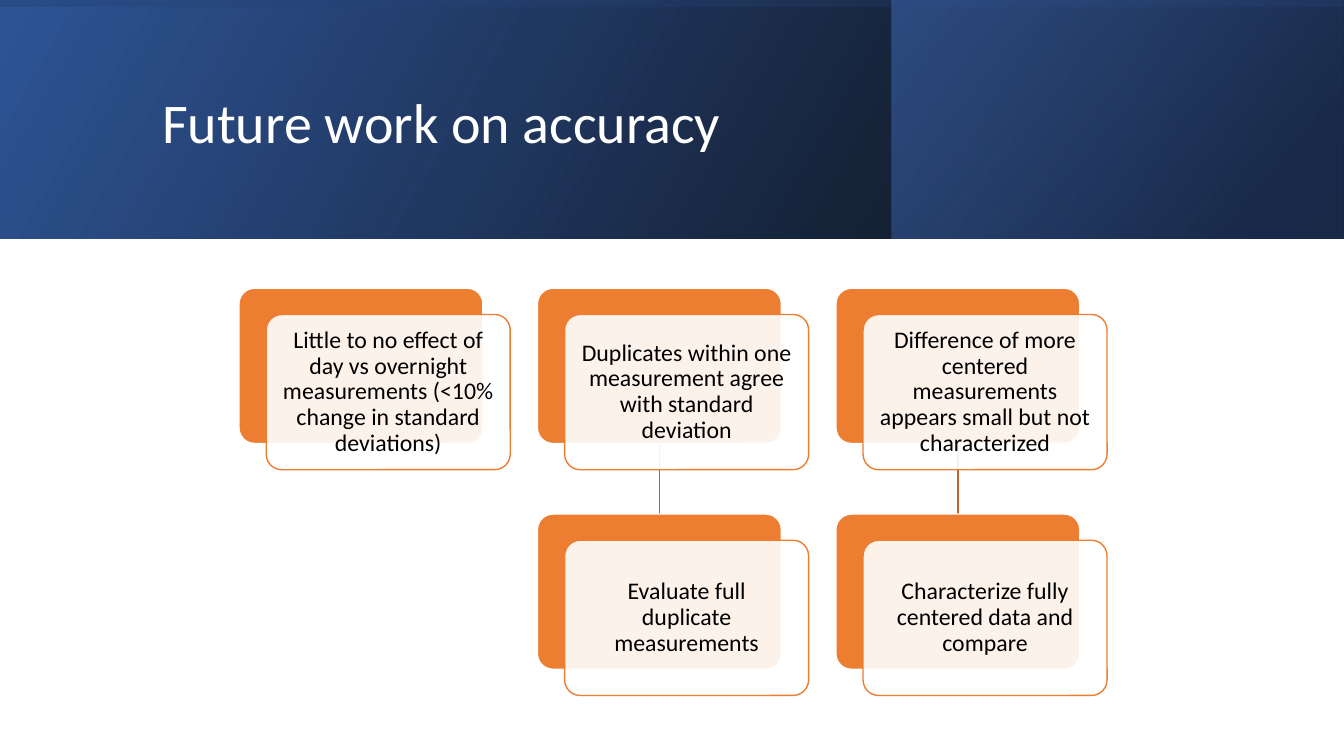
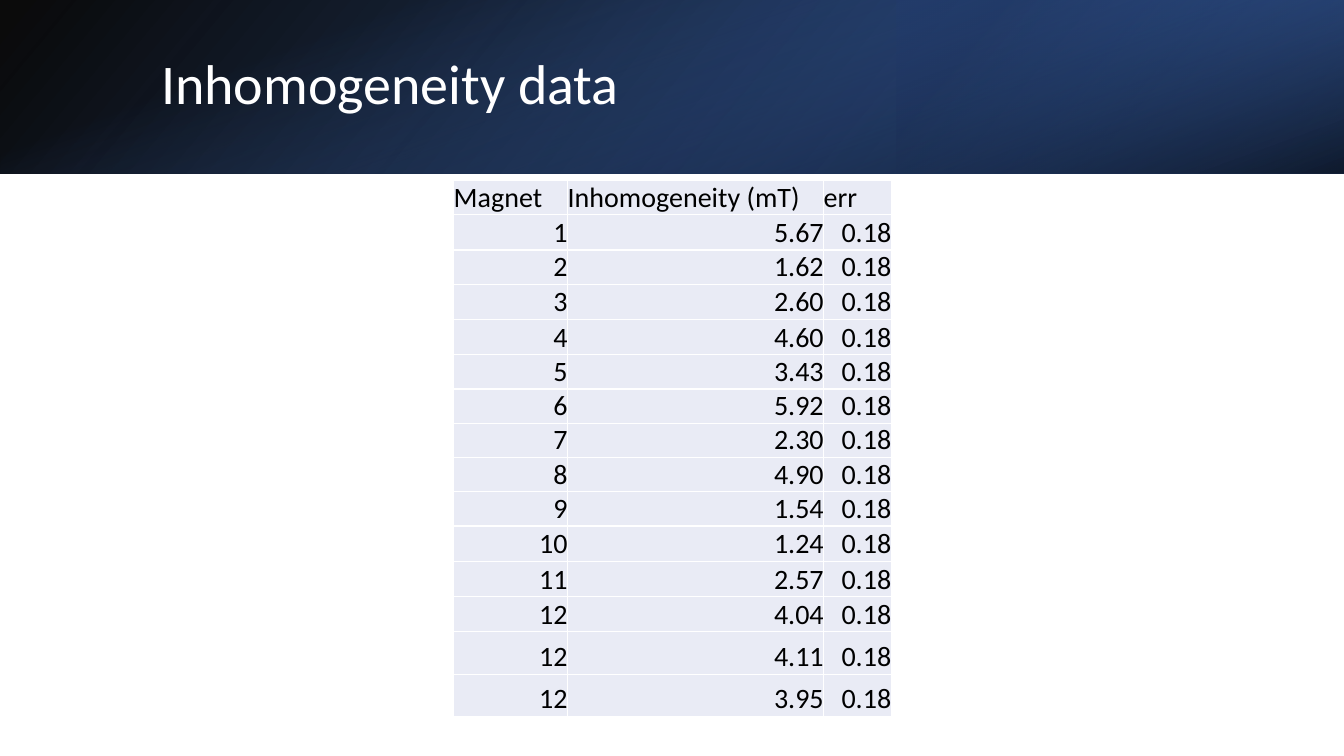
import pptx
import pptx.dml.color
import pptx.enum.dml
import pptx.enum.shapes
import pptx.enum.text
import pptx.oxml
import pptx.oxml.ns
import pptx.util

Inches = pptx.util.Inches
Pt = pptx.util.Pt
RGBColor = pptx.dml.color.RGBColor
qn = pptx.oxml.ns.qn
SHAPE = pptx.enum.shapes.MSO_SHAPE
ANCHOR = pptx.enum.text.MSO_ANCHOR
ALIGN = pptx.enum.text.PP_ALIGN

FONT = "Calibri"
WHITE = RGBColor(0xFF, 0xFF, 0xFF)
BLACK = RGBColor(0x00, 0x00, 0x00)
ORANGE = RGBColor(0xED, 0x7D, 0x31)
DARK_ORANGE = RGBColor(0xBE, 0x64, 0x27)
BLUE = RGBColor(0x44, 0x72, 0xC4)
MID_BLUE = RGBColor(0x2F, 0x55, 0x97)
NAVY = RGBColor(0x20, 0x38, 0x64)
PALE_BLUE = RGBColor(0xE9, 0xEB, 0xF5)

SLIDE_WIDTH, SLIDE_HEIGHT = 13.33, 7.5

CARD_WIDTH, CARD_HEIGHT = 2.42, 1.54
CARD_STEP_X, CARD_STEP_Y = 2.96, 2.24
CARD_OFFSET_X, CARD_OFFSET_Y = 0.27, 0.26

# Each column runs from a finding to an optional next step.
WORK_COLUMNS = [
    ["Little to no effect of day vs overnight measurements "
     "(<10% change in standard deviations)"],
    ["Duplicates within one measurement agree with standard deviation",
     "Evaluate full duplicate measurements"],
    ["Difference of more centered measurements appears small but not characterized",
     "Characterize fully centered data and compare"],
]

HEADINGS = ["Magnet", "Inhomogeneity (mT)", "err"]
ERROR = "0.18"
MEASUREMENTS = [
    ("1", "5.67"), ("2", "1.62"), ("3", "2.60"), ("4", "4.60"), ("5", "3.43"),
    ("6", "5.92"), ("7", "2.30"), ("8", "4.90"), ("9", "1.54"), ("10", "1.24"),
    ("11", "2.57"), ("12", "4.04"), ("12", "4.11"), ("12", "3.95"),
]
COLUMN_WIDTHS = [1.13, 2.54, 0.67]
ROW_HEIGHTS = [0.34, 0.35, 0.34, 0.35, 0.35] + [0.34] * 5 + [0.35] * 3 + [0.42] * 2


def set_alpha(color_element, percent):
    alpha = pptx.oxml.parse_xml(
        f'<a:alpha {pptx.oxml.ns.nsdecls("a")} val="{percent * 1000}"/>')
    color_element.append(alpha)


def format_paragraph(paragraph, size, color, alignment=ALIGN.LEFT, spacing=None):
    paragraph.alignment = alignment
    if spacing:
        paragraph.line_spacing = spacing
    for run in paragraph.runs:
        run.font.name = FONT
        run.font.size = Pt(size)
        run.font.color.rgb = color


def add_gradient(slide, box, stops, angle, rotation=0, flipped=True):
    """Add a rectangle; stops are (position, colour, opacity), angle is clockwise."""
    shape = slide.shapes.add_shape(SHAPE.RECTANGLE, *map(Inches, box))
    shape.shadow.inherit = False
    shape.rotation = rotation
    properties = shape.element.spPr
    if flipped:
        properties.find(qn("a:xfrm")).set("flipH", "1")
    shape.fill.gradient()
    shape.fill.gradient_angle = 360 - angle
    for gradient_stop, (position, color, _) in zip(shape.fill.gradient_stops, stops):
        gradient_stop.position = position / 100
        gradient_stop.color.rgb = color
    for color_element, (_, _, opacity) in zip(properties.iter(qn("a:srgbClr")), stops):
        if opacity < 100:
            set_alpha(color_element, opacity)
    shape.line.fill.background()


def add_header(slide, height, base_angle, corner, overlay):
    """Layer the base band, a corner panel and a rotated full-width overlay."""
    add_gradient(slide, (0, 0, SLIDE_WIDTH, height),
                 [(0, BLACK, 96), (100, MID_BLUE, 100)], base_angle)
    add_gradient(slide, **corner)
    inset = (SLIDE_WIDTH - height) / 2
    add_gradient(slide, (inset, -inset, height, SLIDE_WIDTH), **overlay)


def add_title(slide, box, text):
    frame = slide.shapes.add_textbox(*map(Inches, box)).text_frame
    frame.word_wrap = True
    frame.vertical_anchor = ANCHOR.MIDDLE
    frame.text = text
    format_paragraph(frame.paragraphs[0], 40, WHITE, spacing=0.9)


def add_rounded_box(slide, left, top, fill, outline):
    shape = slide.shapes.add_shape(
        SHAPE.ROUNDED_RECTANGLE, *map(Inches, (left, top, CARD_WIDTH, CARD_HEIGHT)))
    shape.shadow.inherit = False
    shape.adjustments[0] = 0.1
    shape.fill.solid()
    shape.fill.fore_color.rgb = fill
    shape.line.color.rgb = outline
    shape.line.width = Pt(1)
    return shape


def add_card(slide, left, top, text):
    """Add an orange box with a translucent text box offset over it."""
    add_rounded_box(slide, left, top, ORANGE, WHITE)
    front = add_rounded_box(slide, left + CARD_OFFSET_X, top + CARD_OFFSET_Y,
                            WHITE, ORANGE)
    set_alpha(front.element.spPr.find(qn("a:solidFill"))[0], 90)
    frame = front.text_frame
    frame.word_wrap = True
    frame.vertical_anchor = ANCHOR.MIDDLE
    frame.margin_left = frame.margin_right = Inches(0.12)
    frame.margin_top = frame.margin_bottom = Inches(0.12)
    frame.text = text
    format_paragraph(frame.paragraphs[0], 17, BLACK, ALIGN.CENTER, 0.9)


def add_link(slide, x, top, bottom):
    connector = slide.shapes.add_connector(
        pptx.enum.shapes.MSO_CONNECTOR.STRAIGHT, *map(Inches, (x, top, x, bottom)))
    connector.line.color.rgb = DARK_ORANGE
    connector.line.width = Pt(1)
    connector.element.spPr.append(
        pptx.oxml.parse_xml(f'<a:effectLst {pptx.oxml.ns.nsdecls("a")}/>'))


def add_work_diagram(slide, left, top):
    for column, texts in enumerate(WORK_COLUMNS):
        x = left + column * CARD_STEP_X
        if len(texts) > 1:
            add_link(slide, x + CARD_WIDTH / 2, top + CARD_HEIGHT, top + CARD_STEP_Y)
        for row, text in enumerate(texts):
            add_card(slide, x, top + row * CARD_STEP_Y, text)


def format_cell(cell, text, alignment):
    cell.text = text
    cell.vertical_anchor = ANCHOR.BOTTOM
    cell.margin_left = cell.margin_right = cell.margin_top = cell.margin_bottom = 0
    format_paragraph(cell.text_frame.paragraphs[0], 20, BLACK, alignment)
    cell.fill.solid()
    cell.fill.fore_color.rgb = PALE_BLUE
    properties = cell._tc.get_or_add_tcPr()
    for index, side in enumerate(("lnL", "lnR", "lnT", "lnB")):
        properties.insert(index, pptx.oxml.parse_xml(
            f'<a:{side} {pptx.oxml.ns.nsdecls("a")} w="{Pt(1)}">'
            f'<a:solidFill><a:srgbClr val="{WHITE}"/></a:solidFill></a:{side}>'))


def add_data_table(slide, left, top):
    rows = [HEADINGS] + [(*measurement, ERROR) for measurement in MEASUREMENTS]
    table = slide.shapes.add_table(
        len(rows), len(HEADINGS), Inches(left), Inches(top),
        Inches(sum(COLUMN_WIDTHS)), Inches(sum(ROW_HEIGHTS))).table
    table.first_row = table.horz_banding = False
    for column, width in zip(table.columns, COLUMN_WIDTHS):
        column.width = Inches(width)
    for row_index, (row, height) in enumerate(zip(rows, ROW_HEIGHTS)):
        table.rows[row_index].height = Inches(height)
        alignment = ALIGN.RIGHT if row_index else ALIGN.LEFT
        for column_index, text in enumerate(row):
            format_cell(table.cell(row_index, column_index), text, alignment)


def build_future_work(slide):
    height = 2.37
    add_header(
        slide, height, 330,
        corner={"box": (8.84, 0, 4.48, height), "angle": 320,
                "stops": [(19, NAVY, 68), (100, BLUE, 48)]},
        overlay={"angle": 350, "rotation": 270,
                 "stops": [(23, MID_BLUE, 16), (99, BLACK, 45)]})
    add_title(slide, (1.51, 0.38, 10.63, 1.72), "Future work on accuracy")
    add_work_diagram(slide, 2.37, 2.86)


def build_inhomogeneity(slide):
    height = 1.72
    add_header(
        slide, height, 140,
        corner={"box": (8.89, 0, 4.44, height), "angle": 320, "rotation": 180,
                "stops": [(19, NAVY, 68), (100, BLUE, 79)]},
        overlay={"angle": 340, "rotation": 90, "flipped": False,
                 "stops": [(23, BLUE, 0), (99, BLACK, 74)]})
    add_title(slide, (1.5, 0.38, 10.98, 0.96), "Inhomogeneity data")
    add_data_table(slide, 4.5, 1.79)


def main():
    presentation = pptx.Presentation()
    presentation.slide_width = Inches(SLIDE_WIDTH)
    presentation.slide_height = Inches(SLIDE_HEIGHT)
    blank_layout = presentation.slide_layouts[6]
    for build in (build_future_work, build_inhomogeneity):
        build(presentation.slides.add_slide(blank_layout))
    presentation.save("out.pptx")


if __name__ == "__main__":
    main()
